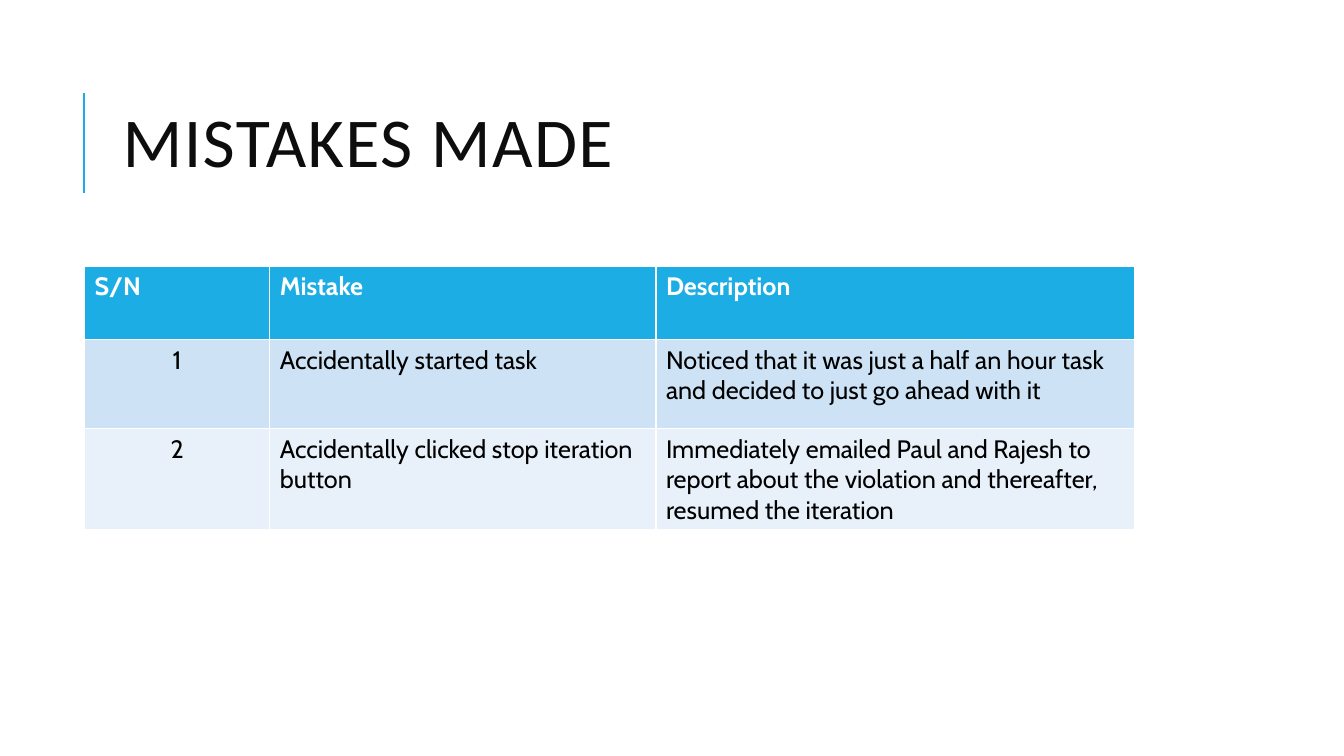
from lxml.etree import SubElement
from pptx import Presentation
from pptx.dml.color import RGBColor
from pptx.enum.shapes import MSO_CONNECTOR
from pptx.enum.text import MSO_ANCHOR, PP_ALIGN
from pptx.oxml.ns import qn
from pptx.util import Cm, Pt

BLUE = RGBColor(0x1C, 0xAD, 0xE4)
PALE = RGBColor(0xCD, 0xE3, 0xF5)
FAINT = RGBColor(0xE8, 0xF1, 0xFA)
INK = RGBColor(0x0D, 0x0D, 0x0D)
BLACK = RGBColor(0, 0, 0)
WHITE = RGBColor(255, 255, 255)

COLS = [4.67, 9.73, 12.07]
ROWS = [1.85, 2.24, 2.24]
FILLS = [BLUE, PALE, FAINT]
DATA = [
    ["S/N", "Mistake", "Description"],
    ["1", "Accidentally started task",
     "Noticed that it was just a half an hour task and decided to just go ahead with it"],
    ["2", "Accidentally clicked stop iteration button",
     "Immediately emailed Paul and Rajesh to report about the violation and thereafter, "
     "resumed the iteration"],
]


def add_run(para, text, face, size, color, bold=False):
    run = para.add_run()
    run.text = text
    run.font.name = face
    run.font.size = Pt(size)
    run.font.color.rgb = color
    run.font.bold = bold
    return run


def add_title(slide, left, top, width, height):
    mid = top + height / 2 - 0.11
    half = 1.27
    rule = slide.shapes.add_connector(
        MSO_CONNECTOR.STRAIGHT, Cm(left), Cm(mid + half), Cm(left), Cm(mid - half))
    rule.line.color.rgb = BLUE
    rule.line.width = Pt(1.5)
    SubElement(rule._element.spPr, qn("a:effectLst"))

    gap = 0.73
    box = slide.shapes.add_textbox(Cm(left + gap), Cm(top), Cm(width - gap), Cm(height))
    frame = box.text_frame
    frame.word_wrap = True
    frame.vertical_anchor = MSO_ANCHOR.MIDDLE
    para = frame.paragraphs[0]
    para.line_spacing = 0.8
    run = add_run(para, "MISTAKES MADE", "Calibri", 50, INK)
    run.font._element.set("spc", "100")


def add_grid(slide, left, top):
    grid = slide.shapes.add_table(
        len(ROWS), len(COLS), Cm(left), Cm(top), Cm(sum(COLS)), Cm(sum(ROWS))).table
    for col, width in zip(grid.columns, COLS):
        col.width = Cm(width)
    for row, height, fill, texts in zip(grid.rows, ROWS, FILLS, DATA):
        row.height = Cm(height)
        head = fill == BLUE
        for col, (cell, text) in enumerate(zip(row.cells, texts)):
            cell.fill.solid()
            cell.fill.fore_color.rgb = fill
            para = cell.text_frame.paragraphs[0]
            if col == 0 and not head:
                para.alignment = PP_ALIGN.CENTER
            add_run(para, text, "Cabin", 18, WHITE if head else BLACK, head)


def main():
    deck = Presentation()
    deck.slide_width = Cm(33.87)
    deck.slide_height = Cm(19.05)
    slide = deck.slides.add_slide(deck.slide_layouts[6])
    add_title(slide, 2.11, 1.63, 27.73, 4.17)
    add_grid(slide, 2.13, 6.71)
    deck.save("out.pptx")


if __name__ == "__main__":
    main()
